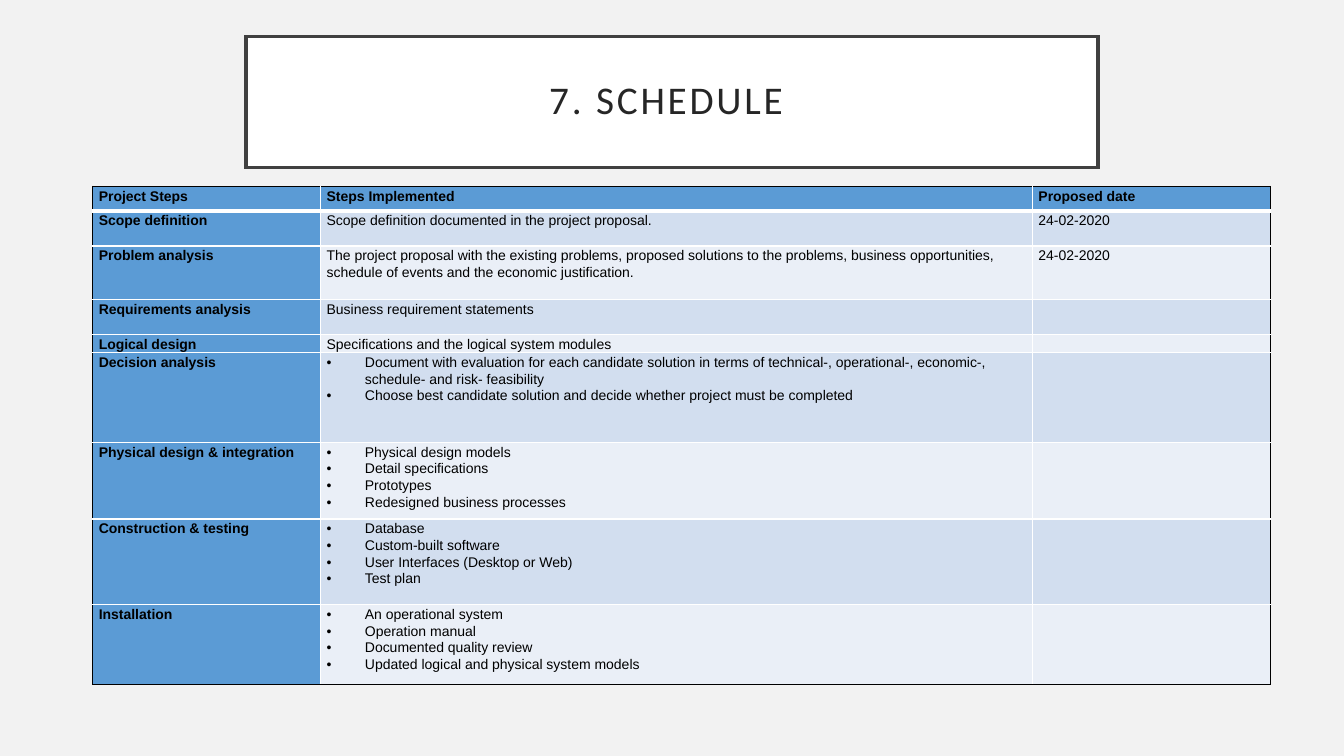
from dataclasses import dataclass

from lxml.etree import SubElement
from pptx import Presentation
from pptx.dml.color import RGBColor
from pptx.enum.text import MSO_ANCHOR, MSO_AUTO_SIZE, PP_ALIGN
from pptx.oxml.ns import qn
from pptx.util import Inches, Pt


@dataclass(frozen=True)
class Theme:
    background: str = "F2F2F2"
    white: str = "FFFFFF"
    black: str = "000000"
    title_frame: str = "404040"
    title_text: str = "262626"
    accent: str = "5B9BD5"
    bands: tuple = ("D2DEEF", "EAEFF7")
    title_font: str = "Calibri"
    table_font: str = "Arial"
    title_size: int = 28
    table_size: int = 10


THEME = Theme()
TITLE = "7. SCHEDULE "
COLUMN_WIDTHS = (2.26, 7.06, 2.36)
HEADER = ("Project Steps", "Steps Implemented", "Proposed date")
HEADER_HEIGHT = 0.24

# Row height, project step, implementation (a list is bulleted), date
STEPS = (
    (0.35, "Scope definition",
     "Scope definition documented in the project proposal. ", "24-02-2020"),
    (0.53, "Problem analysis",
     "The project proposal with the existing problems, proposed solutions to "
     "the problems, business opportunities, schedule of events and the "
     "economic justification. ", "24-02-2020"),
    (0.35, "Requirements analysis", "Business requirement statements", ""),
    (0.18, "Logical design",
     "Specifications and the logical system modules", ""),
    (0.89, "Decision analysis",
     ["Document with evaluation for each candidate solution in terms of "
      "technical-, operational-, economic-, schedule- and risk- feasibility",
      "Choose best candidate solution and decide whether project must be "
      "completed"], ""),
    (0.76, "Physical design & integration",
     ["Physical design models", "Detail specifications", "Prototypes",
      "Redesigned business processes"], ""),
    (0.85, "Construction & testing",
     ["Database", "Custom-built software", "User Interfaces (Desktop or Web)",
      "Test plan"], ""),
    (0.79, "Installation",
     ["An operational system", "Operation manual", "Documented quality review",
      "Updated logical and physical system models"], ""),
)


def apply(target, values):
    for name, value in values.items():
        setattr(target, name, value)


def color(value):
    return RGBColor.from_string(value)


def paint(fill, value):
    fill.solid()
    fill.fore_color.rgb = color(value)


def format_font(font, name, size, value, bold=False):
    apply(font, {"name": name, "size": Pt(size), "bold": bold})
    font.color.rgb = color(value)


def add_title(page, text):
    box = page.shapes.title
    apply(box, {"left": Inches(2.44), "top": Inches(0.36),
                "width": Inches(8.45), "height": Inches(1.3)})
    paint(box.fill, THEME.white)
    box.line.color.rgb = color(THEME.title_frame)
    box.line.width = Pt(2.5)
    # Square frame corners
    SubElement(box._element.spPr.find(qn("a:ln")), qn("a:miter"), lim="800000")
    frame = box.text_frame
    apply(frame, {"word_wrap": True, "auto_size": MSO_AUTO_SIZE.NONE,
                  "vertical_anchor": MSO_ANCHOR.MIDDLE})
    apply(frame, {f"margin_{side}": Inches(0.2)
                  for side in ("left", "top", "right", "bottom")})
    para = frame.paragraphs[0]
    apply(para, {"alignment": PP_ALIGN.CENTER, "line_spacing": 0.9})
    span = para.add_run()
    span.text = text
    format_font(span.font, THEME.title_font, THEME.title_size,
                THEME.title_text)
    span.font._element.set("spc", "200")


def add_bullet(para):
    properties = para._p.get_or_add_pPr()
    properties.set("marL", str(Inches(0.38)))
    properties.set("indent", str(Inches(-0.38)))
    SubElement(properties, qn("a:buFont"), typeface=THEME.table_font)
    SubElement(properties, qn("a:buChar"), char="•")


def fill_text(cell, content, bold):
    apply(cell, {"margin_left": Inches(0.06), "margin_top": Inches(0.01),
                 "margin_right": Inches(0.06), "margin_bottom": 0,
                 "vertical_anchor": MSO_ANCHOR.TOP})
    bulleted = isinstance(content, list)
    lines = content if bulleted else [content]
    frame = cell.text_frame
    for index, line in enumerate(lines):
        para = frame.add_paragraph() if index else frame.paragraphs[0]
        last = index == len(lines) - 1
        apply(para, {"line_spacing": 1.07, "space_after": Pt(8 if last else 0)})
        if bulleted:
            add_bullet(para)
        if line:
            span = para.add_run()
            span.text = line
            format_font(span.font, THEME.table_font, THEME.table_size,
                        THEME.black, bold)
        else:
            # Keeps empty cells from stretching their row
            SubElement(para._p, qn("a:endParaRPr"),
                       sz=str(THEME.table_size * 100))


def add_border(cell, side, value, width):
    line = SubElement(cell._tc.get_or_add_tcPr(), qn(f"a:ln{side}"),
                      w=str(Pt(width)))
    fill = SubElement(line, qn("a:solidFill"))
    SubElement(fill, qn("a:srgbClr"), val=value)


def add_borders(cell, row, column, last_row, last_column):
    outer = {"L": column == 0, "R": column == last_column,
             "T": row == 0, "B": row == last_row}
    below_header = {"B": row == 0, "T": row == 1}
    for side, is_outer in outer.items():
        add_border(cell, side, THEME.black if is_outer else THEME.white,
                   3 if below_header.get(side) else 1)


def add_schedule(page):
    rows = [(HEADER_HEIGHT, *HEADER), *STEPS]
    height = sum(row[0] for row in rows)
    table = page.shapes.add_table(
        len(rows), len(COLUMN_WIDTHS), Inches(0.92), Inches(1.85),
        Inches(sum(COLUMN_WIDTHS)), Inches(height)).table
    apply(table, {"first_row": False, "horz_banding": False})
    for column, width in zip(table.columns, COLUMN_WIDTHS):
        column.width = Inches(width)
    for row, (row_height, *contents) in enumerate(rows):
        table.rows[row].height = Inches(row_height)
        for column, content in enumerate(contents):
            cell = table.cell(row, column)
            heading = row == 0 or column == 0
            fill_text(cell, content, heading)
            add_borders(cell, row, column, len(rows) - 1, len(contents) - 1)
            paint(cell.fill,
                  THEME.accent if heading else THEME.bands[(row - 1) % 2])


def main():
    deck = Presentation()
    apply(deck, {"slide_width": Inches(13.33), "slide_height": Inches(7.5)})
    # Title Only layout
    page = deck.slides.add_slide(deck.slide_layouts[5])
    paint(page.background.fill, THEME.background)
    add_title(page, TITLE)
    add_schedule(page)
    deck.save("out.pptx")


main()
